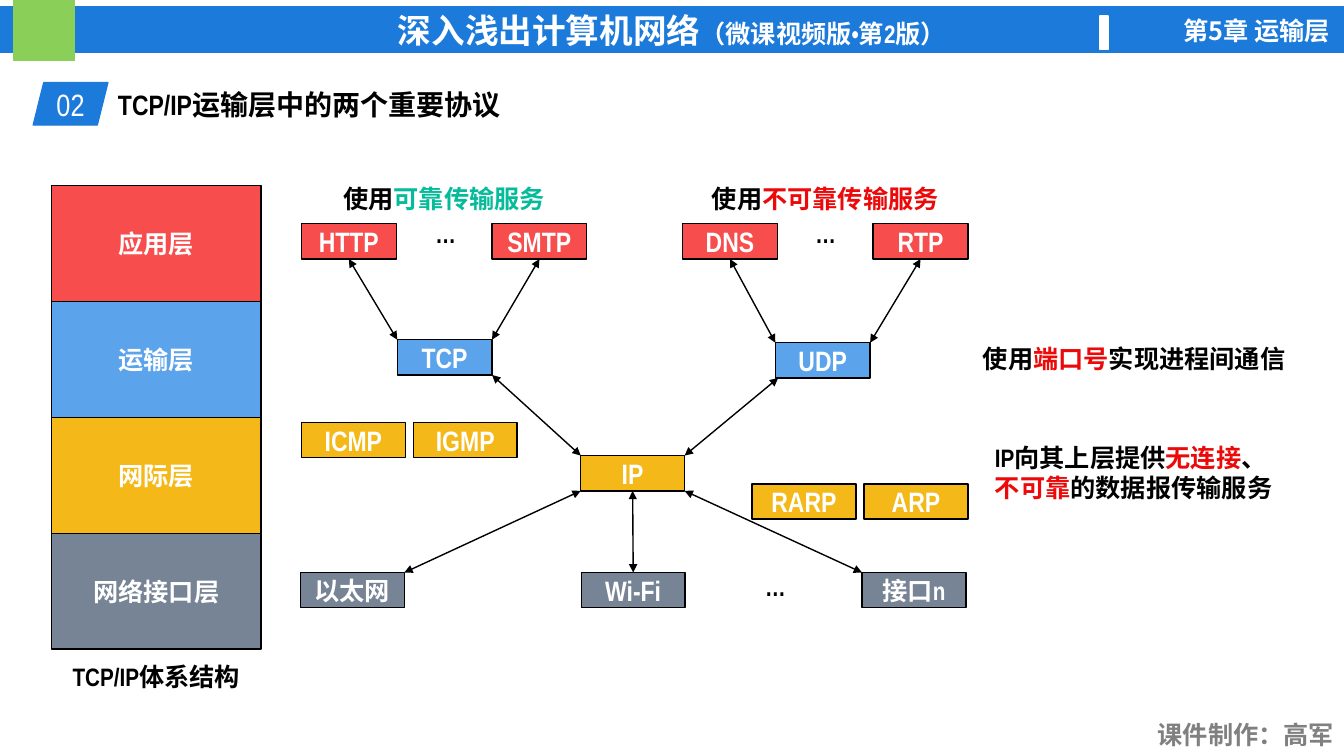
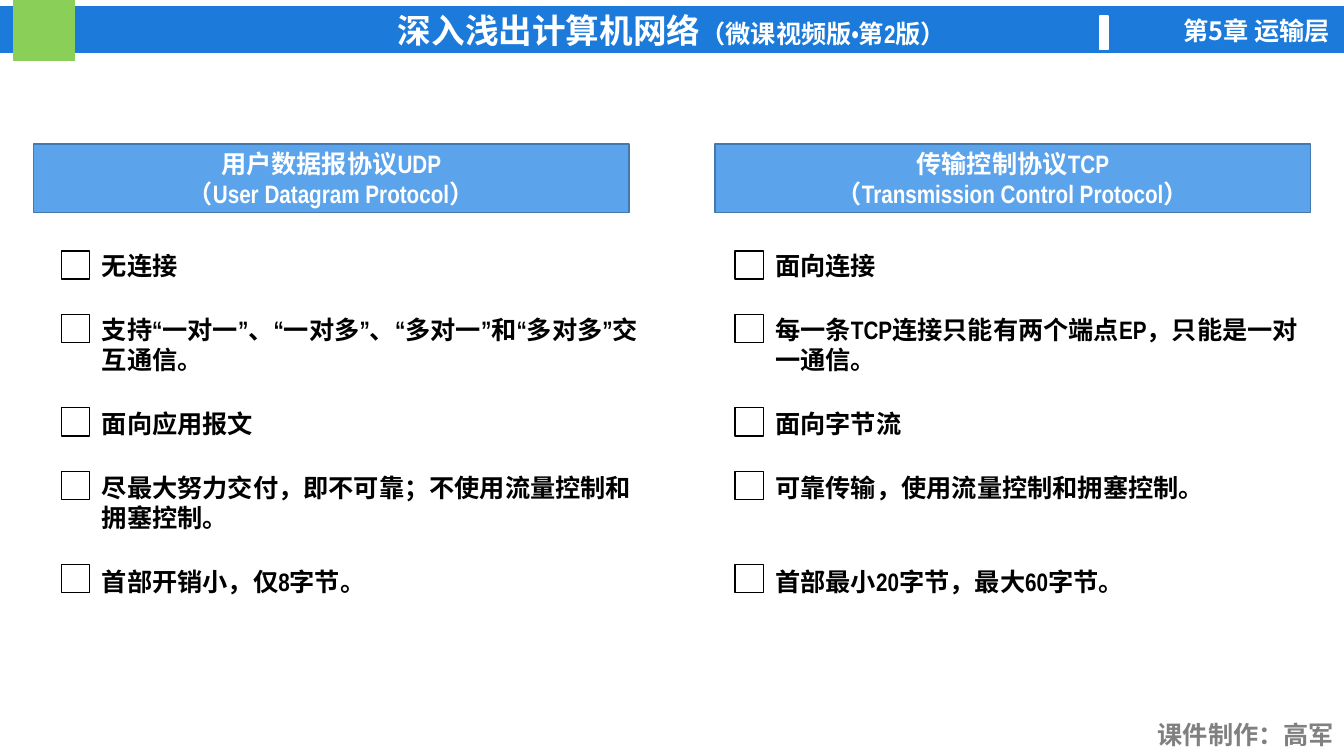
from pptx import Presentation
from pptx.dml.color import RGBColor
from pptx.enum.shapes import MSO_CONNECTOR, MSO_SHAPE
from pptx.enum.text import MSO_ANCHOR, MSO_AUTO_SIZE, PP_ALIGN
from pptx.oxml.ns import qn
from pptx.util import Inches, Pt
from lxml import etree

RECT, SLANT = MSO_SHAPE.RECTANGLE, MSO_SHAPE.PARALLELOGRAM
LEFT, MID, RIGHT = PP_ALIGN.LEFT, PP_ALIGN.CENTER, PP_ALIGN.RIGHT
TOP, CENTER = MSO_ANCHOR.TOP, MSO_ANCHOR.MIDDLE


class Theme:
    wide, high = 13.33, 7.5
    font, cjk = "Arial Narrow", "Noto Sans CJK SC"
    band, leaf, edge = "1B7ADA", "8ACF57", "4379AE"
    red, blue, gold, slate = "F84D4D", "5BA3EB", "F4B919", "778495"
    good, warn = "06BB9A", "EB0909"
    ink, white, gray = "000000", "FFFFFF", "808080"
    text, node, mark, head = 18, 20, 22, 24


T = Theme

# Shared content
BOOK = [("深入浅出计算机网络", None, T.head), "（微课视频版•第2版）"]
PART, MAKER = "第5章 运输层", "课件制作：高军"

# Slide 1 content: layers, protocol nodes, links and remarks
TOPIC = "TCP/IP运输层中的两个重要协议"
LAYERS = [("应用层", T.red), ("运输层", T.blue), ("网际层", T.gold), ("网络接口层", T.slate)]
STACK = (0.51, 1.84, 2.08, 1.15)
SLIM, BROAD, TALL = 0.94, 1.03, 0.35
# names, fill, left, top, width, pitch
ROWS = [
    (["HTTP", "SMTP", "DNS", "RTP"], T.red, 2.99, 2.22, SLIM, 1.89),
    (["ICMP", "IGMP"], T.gold, 2.99, 4.19, BROAD, 1.11),
    (["RARP", "ARP"], T.gold, 7.46, 4.8, BROAD, 1.11),
    (["IP"], T.gold, 5.76, 4.52, BROAD, 0),
    (["以太网", "Wi-Fi", "接口n"], T.slate, 2.98, 5.68, BROAD, 2.785),
    (["TCP"], T.blue, 3.94, 3.37, SLIM, 0),
    (["UDP"], T.blue, 7.69, 3.4, SLIM, 0),
]
# Ends as (node, share of width, share of height)
LINKS = [
    (("TCP", 0, 0), ("HTTP", 0.5, 1)),
    (("TCP", 1, 0), ("SMTP", 0.5, 1)),
    (("UDP", 0, 0), ("DNS", 0.5, 1)),
    (("UDP", 1, 0), ("RTP", 0.5, 1)),
    (("IP", 0, 0), ("TCP", 1, 1)),
    (("IP", 1, 0), ("UDP", 0.03, 1)),
    (("接口n", 0, 0), ("IP", 1, 1)),
    (("Wi-Fi", 0.5, 0), ("IP", 0.5, 1)),
    (("以太网", 1, 0), ("IP", 0, 1)),
]
NOTES = [
    ((2.99, 1.77, 2.83, 0.4), MID, [["使用", ("可靠传输服务", T.good)]]),
    ((6.77, 1.77, 2.83, 0.4), MID, [["使用", ("不可靠传输服务", T.warn)]]),
    ((3.7, 2.12, 1.44, 0.4), MID, [["…"]]),
    ((7.47, 2.12, 1.44, 0.4), MID, [["…"]]),
    ((6.97, 5.62, 1.44, 0.4), MID, [["…"]]),
    ((0.51, 6.51, 2.08, 0.4), MID, [["TCP/IP体系结构"]]),
    ((9.77, 4.34, 3.04, 0.71), LEFT,
     [["IP向其上层提供", ("无连接", T.warn), "、"],
      [("不可靠", T.warn), "的数据报传输服务"]]),
    ((9.65, 3.36, 3.26, 0.4), LEFT, [["使用", ("端口号", T.warn), "实现进程间通信"]]),
]

# Slide 2 content: heading left, list left, heading, items
SIDES = [
    (0.33, 0.61, ["用户数据报协议UDP", "（User Datagram Protocol）"],
     ["无连接", "支持“一对一”、“一对多”、“多对一”和“多对多”交互通信。", "面向应用报文",
      "尽最大努力交付，即不可靠；不使用流量控制和拥塞控制。", "首部开销小，仅8字节。"]),
    (7.09, 7.29, ["传输控制协议TCP", "（Transmission Control Protocol）"],
     ["面向连接", "每一条TCP连接只能有两个端点EP，只能是一对一通信。", "面向字节流",
      "可靠传输，使用流量控制和拥塞控制。", "首部最小20字节，最大60字节。"]),
]
SPANS = [[1, 2, 1, 2, 1], [1, 2, 1, 1, 1]]  # lines taken by each item
LINE, GAP = 0.295, 0.335


def rgb(code):
    return RGBColor.from_string(code)


def place(shape, box):
    shape.left, shape.top, shape.width, shape.height = map(Inches, box)


def write(shape, paras, size=T.text, color=T.ink, align=MID, anchor=CENTER,
          bold=True, font=T.font):
    """Fill a shape; a run is a string or (text, color[, size])."""
    frame = shape.text_frame
    frame.word_wrap, frame.auto_size = True, MSO_AUTO_SIZE.NONE
    frame.vertical_anchor = anchor
    frame.margin_left = frame.margin_right = Inches(0.1)
    frame.margin_top = frame.margin_bottom = Inches(0.05)
    for i, runs in enumerate(paras):
        p = frame.add_paragraph() if i else frame.paragraphs[0]
        p.alignment, p.space_before = align, Pt(0)
        props = p._p.get_or_add_pPr()
        props.set("marL", "0")
        props.set("indent", "0")
        etree.SubElement(props, qn("a:buNone"))
        p.font.name, p.font.size, p.font.bold = font, Pt(size), bold
        p.font.color.rgb = rgb(color)
        east = etree.SubElement(props.find(qn("a:defRPr")), qn("a:ea"))
        east.set("typeface", font)
        for part in runs:
            words, tint, big = (*([part] if isinstance(part, str) else part), None, None)[:3]
            run = p.add_run()
            run.text = words
            if tint:
                run.font.color.rgb = rgb(tint)
            if big:
                run.font.size = Pt(big)


def block(slide, box, fill=None, line=T.ink, kind=RECT):
    shape = slide.shapes.add_shape(kind, *map(Inches, box))
    shape.shadow.inherit = False
    if fill:
        shape.fill.solid()
        shape.fill.fore_color.rgb = rgb(fill)
    else:
        shape.fill.background()
    shape.line.color.rgb, shape.line.width = rgb(line), Pt(1)
    return shape


def label(slide, box, paras, **style):
    write(slide.shapes.add_textbox(*map(Inches, box)), paras, anchor=TOP, **style)


def arrow(slide, start, end):
    wire = slide.shapes.add_connector(MSO_CONNECTOR.STRAIGHT, *map(Inches, start + end))
    wire.line.color.rgb, wire.line.width = rgb(T.ink), Pt(1)
    line = wire.line._get_or_add_ln()
    for tag in ("a:headEnd", "a:tailEnd"):
        etree.SubElement(line, qn(tag)).set("type", "triangle")
    etree.SubElement(wire._element.spPr, qn("a:effectLst"))


def start(deck, layout):
    """New slide with the shared band and footer."""
    slide = deck.slides.add_slide(deck.slide_layouts[layout])
    band = block(slide, (0, 0.07, T.wide, 0.45), T.band, T.band)
    write(band, [BOOK], color=T.white)
    block(slide, (0.14, 0, 0.6, 0.6), T.leaf, T.leaf)
    block(slide, (10.91, 0.16, 0.08, 0.33), T.white, T.white)
    label(slide, (11.11, 0.1, 2.18, 0.4), [[PART]], color=T.white, align=RIGHT, font=T.cjk)
    label(slide, (11.34, 7.09, 1.99, 0.4), [[MAKER]], color=T.gray, align=RIGHT)
    return slide


def layers(deck):
    slide = start(deck, 5)
    # Heading
    tag = block(slide, (0.33, 0.82, 0.74, 0.42), T.band, T.band, SLANT)
    write(tag, [["02"]], T.mark, T.white, bold=False)
    title = slide.shapes.title
    place(title, (1.07, 0.82, 6.03, 0.44))
    write(title, [[TOPIC]], T.node, align=LEFT, anchor=TOP)
    # Layer stack
    x, y, w, h = STACK
    for i, (name, fill) in enumerate(LAYERS):
        write(block(slide, (x, y + i * h, w, h), fill), [[name]], color=T.white)
    # Protocol nodes
    spots = {}
    for names, fill, x, y, w, pitch in ROWS:
        for i, name in enumerate(names):
            spots[name] = (x + i * pitch, y, w, TALL)
            size = T.node if name.isascii() else T.text
            write(block(slide, spots[name], fill), [[name]], size, T.white)

    # Links and remarks
    def point(name, across, down):
        x, y, w, h = spots[name]
        return x + across * w, y + down * h

    for tail, tip in LINKS:
        arrow(slide, point(*tail), point(*tip))
    for box, align, paras in NOTES:
        label(slide, box, paras, align=align)


def compare(deck):
    slide = start(deck, 4)
    title = slide.shapes.title._element
    title.getparent().remove(title)
    holds = slide.placeholders
    steps = [max(pair) * LINE + GAP for pair in zip(*SPANS)]
    for side, (x, left, head, items) in enumerate(SIDES):
        # Heading
        bar = holds[1 + 2 * side]
        place(bar, (x, 1.43, 5.91, 0.68))
        bar.fill.solid()
        bar.fill.fore_color.rgb = rgb(T.blue)
        bar.line.color.rgb, bar.line.width = rgb(T.edge), Pt(1)
        write(bar, [[row] for row in head], color=T.white)
        # List with a square before each item
        body = holds[2 + 2 * side]
        place(body, (left + 0.3, 2.43, 5.61, 3.6))
        write(body, [[item] for item in items], align=LEFT, anchor=TOP)
        y = 2.49
        for i, step in enumerate(steps):
            block(slide, (left, y, 0.28, 0.28))
            if i:
                space = steps[i - 1] - SPANS[side][i - 1] * LINE
                body.text_frame.paragraphs[i].space_before = Inches(space)
            y += step


def main():
    deck = Presentation()
    deck.slide_width, deck.slide_height = Inches(T.wide), Inches(T.high)
    layers(deck)
    compare(deck)
    deck.save("out.pptx")


if __name__ == "__main__":
    main()
